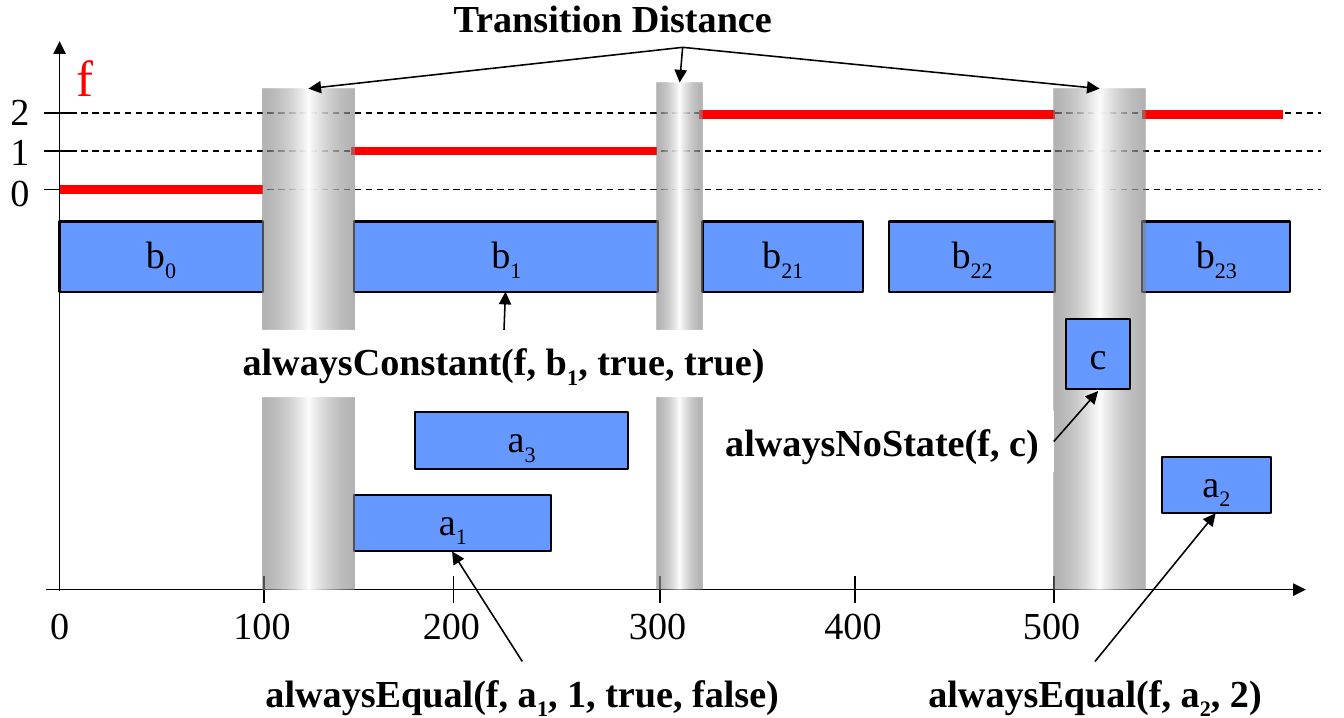
from pptx import Presentation
from pptx.dml.color import RGBColor
from pptx.enum.dml import MSO_LINE
from pptx.enum.shapes import MSO_CONNECTOR, MSO_SHAPE
from pptx.enum.text import MSO_ANCHOR, MSO_AUTO_SIZE, PP_ALIGN
from pptx.oxml import parse_xml
from pptx.oxml.ns import nsdecls
from pptx.util import Inches, Pt

COLORS = {"ink": "000000", "red": "FF0000", "block": "6699FF",
          "paper": "FFFFFF", "edge": "808080", "shine": "FEFEFE"}
PLAIN = {"name": "Times New Roman", "size": Pt(18), "bold": False}
BOLD = {**PLAIN, "bold": True}
LARGE = {**PLAIN, "size": Pt(24)}
LABEL = {"word_wrap": True, "auto_size": MSO_AUTO_SIZE.SHAPE_TO_FIT_TEXT,
         "vertical_anchor": MSO_ANCHOR.TOP, "margin_right": 0}
INNER = {"word_wrap": False, "vertical_anchor": MSO_ANCHOR.MIDDLE,
         "margin_left": 0, "margin_right": 0,
         "margin_top": 0, "margin_bottom": 0}


def color(key):
    return RGBColor.from_string(COLORS[key])


def apply(target, values):
    for key, value in values.items():
        setattr(target, key, value)


def write(shape, text, frame, font, align=PP_ALIGN.LEFT, ink="ink"):
    """Fill a shape with text; parts between bars become subscripts."""
    apply(shape.text_frame, frame)
    para = shape.text_frame.paragraphs[0]
    para.alignment = align
    for i, part in enumerate(text.split("|")):
        run = para.add_run()
        run.text = part
        apply(run.font, font)
        run.font.color.rgb = color(ink)
        if i % 2:
            run._r.get_or_add_rPr().set("baseline", "-25000")


def add_line(slide, start, end, ink="ink", width=0.75, dash=None, arrow=False):
    ends = [Inches(v) for v in (*start, *end)]
    link = slide.shapes.add_connector(MSO_CONNECTOR.STRAIGHT, *ends)
    link.line.color.rgb = color(ink)
    apply(link.line, {"width": Pt(width), "dash_style": dash})
    if arrow:
        tail = f'<a:tailEnd {nsdecls("a")} type="triangle"/>'
        link.line._get_or_add_ln().append(parse_xml(tail))
    link._element.spPr.append(parse_xml(f'<a:effectLst {nsdecls("a")}/>'))


def add_rect(slide, box, fill):
    rect = slide.shapes.add_shape(MSO_SHAPE.RECTANGLE, *map(Inches, box))
    rect.shadow.inherit = False
    rect.fill.solid()
    rect.fill.fore_color.rgb = color(fill)
    rect.line.fill.background()
    return rect


def add_block(slide, text, *box):
    block = add_rect(slide, box, "block")
    block.line.color.rgb = color("ink")
    block.line.width = Pt(1)
    write(block, text, INNER, PLAIN, PP_ALIGN.CENTER)


def add_label(slide, text, *box, font=PLAIN, ink="ink", fill=None):
    if fill:
        label = add_rect(slide, box, fill)
    else:
        label = slide.shapes.add_textbox(*map(Inches, box))
    write(label, text, LABEL, font, ink=ink)


def add_band(slide, left, top, width):
    band = add_rect(slide, (left, top, width, 3.86 - top), "paper")
    stops = "".join(
        f'<a:gs pos="{pos}"><a:srgbClr val="{COLORS[key]}">'
        f'<a:alpha val="{alpha}"/></a:srgbClr></a:gs>'
        for pos, key, alpha in ((0, "edge", 60000), (50000, "shine", 100000),
                                (100000, "edge", 60000)))
    grad = parse_xml(f'<a:gradFill {nsdecls("a")} rotWithShape="1"><a:gsLst>'
                     f'{stops}</a:gsLst><a:lin ang="10800000" scaled="0"/>'
                     '</a:gradFill>')
    props = band._element.spPr
    props.replace(props.solidFill, grad)


def add_axes(slide):
    add_line(slide, (0.39, 3.87), (0.39, 0.27), arrow=True)
    add_line(slide, (0.3, 3.86), (8.55, 3.86), arrow=True)
    # Time ticks
    add_label(slide, "0", 0.23, 3.89, 0.32, 0.4)
    for i, x in enumerate((1.73, 2.97, 4.32, 5.6, 6.9), 1):
        add_line(slide, (x, 3.77), (x, 3.95))
        add_label(slide, str(100 * i), x - 0.3, 3.89, 0.57, 0.4)
    # Levels of f
    for i in range(3):
        y = 1.24 - 0.25 * i
        add_line(slide, (0.39, y), (8.65, y), dash=MSO_LINE.DASH)
        add_line(slide, (0.29, y), (0.49, y))
        add_label(slide, str(i), -0.03, 1.05 - 0.265 * i, 0.32, 0.4)
    add_label(slide, "f", 0.4, 0.25, 0.31, 0.5, font=LARGE, ink="red")


def main():
    deck = Presentation()
    apply(deck, {"slide_width": Inches(8.8), "slide_height": Inches(4.7)})
    slide = deck.slides.add_slide(deck.slide_layouts[5])

    # Title
    title = slide.shapes.title
    apply(title, {"left": Inches(2.87), "top": Inches(-0.09),
                  "width": Inches(3.19), "height": Inches(0.4)})
    write(title, "Transition Distance", LABEL, BOLD)

    add_axes(slide)

    # Values of f
    for left, right, y in ((0.39, 1.72, 1.24), (2.3, 4.3, 0.99),
                           (4.58, 6.91, 0.75), (7.48, 8.4, 0.75)):
        add_line(slide, (left, y), (right, y), "red", 4)

    # Intervals
    for name, left, width in (("0", 0.39, 1.33), ("1", 2.32, 1.99),
                              ("21", 4.6, 1.05), ("22", 5.82, 1.09),
                              ("23", 7.48, 0.97)):
        add_block(slide, f"b|{name}", left, 1.45, width, 0.46)
    for name, left, top, width in (("1", 2.32, 3.24, 1.29),
                                   ("2", 7.61, 2.99, 0.71),
                                   ("3", 2.72, 2.7, 1.39)):
        add_block(slide, f"a|{name}", left, top, width, 0.37)

    # Transition bands
    for left, top, width in ((1.72, 0.58, 0.6), (4.3, 0.54, 0.3),
                             (6.9, 0.58, 0.6)):
        add_band(slide, left, top, width)
    add_block(slide, "c", 6.98, 2.09, 0.42, 0.46)

    # Constraints
    for text, box, fill in (
            ("alwaysConstant(f, b|1|, true, true)",
             (1.49, 2.16, 3.62, 0.44), "paper"),
            ("alwaysNoState(f, c)", (4.65, 2.69, 2.25, 0.4), "paper"),
            ("alwaysEqual(f, a|1|, 1, true, false)",
             (1.64, 4.33, 3.56, 0.44), None),
            ("alwaysEqual(f, a|2|, 2)", (5.98, 4.33, 2.38, 0.44), None)):
        add_label(slide, text, *box, font=BOLD, fill=fill)

    # Arrows
    for start, end in (((3.3, 2.16), (3.31, 1.91)), ((3.42, 4.33), (2.96, 3.61)),
                       ((7.17, 4.33), (7.96, 3.36)), ((6.9, 2.89), (7.19, 2.56)),
                       ((4.47, 0.31), (2.02, 0.58)), ((4.47, 0.31), (4.45, 0.54)),
                       ((4.47, 0.31), (7.2, 0.58))):
        add_line(slide, start, end, arrow=True)

    deck.save("out.pptx")


if __name__ == "__main__":
    main()
